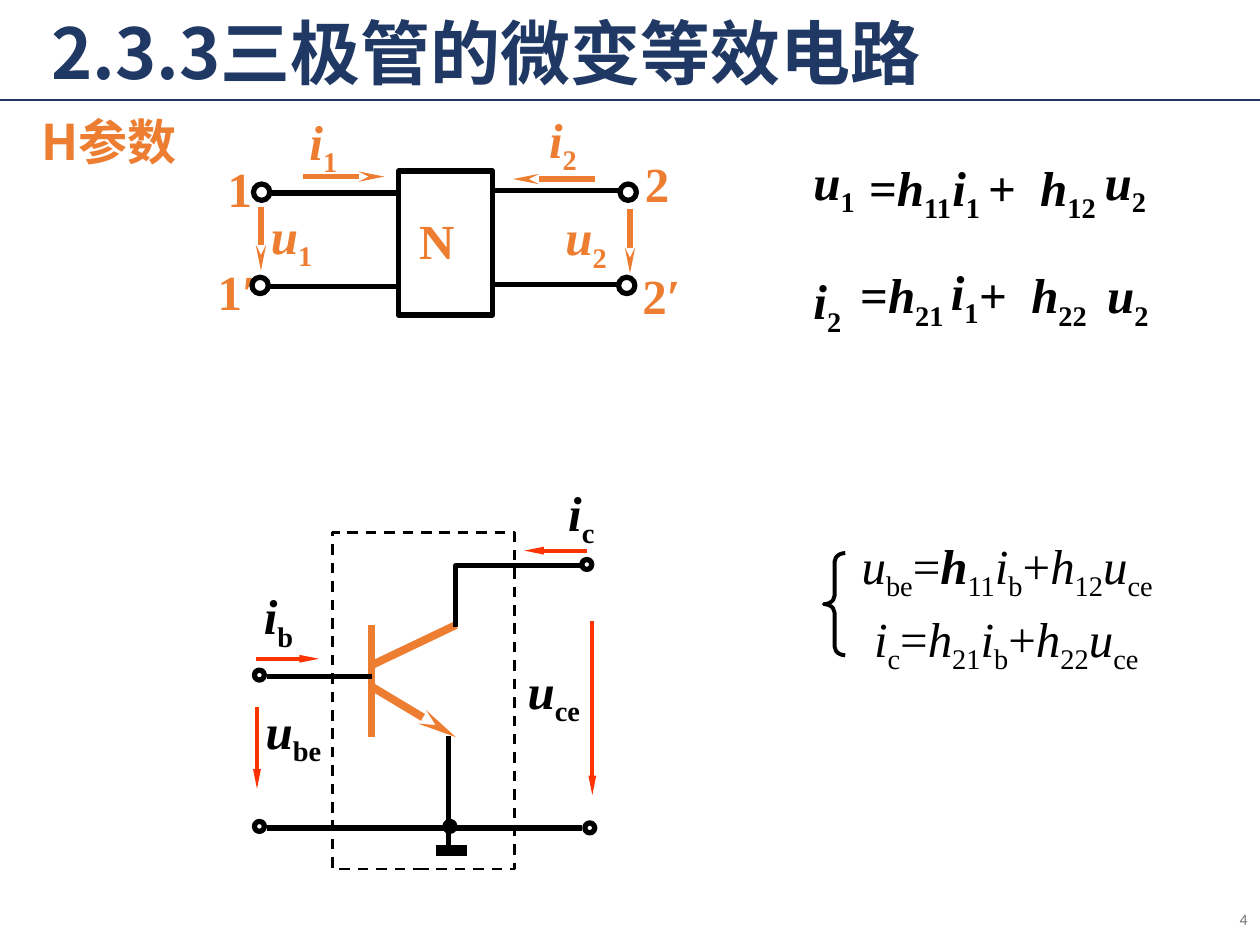
from lxml import etree
from pptx import Presentation
from pptx import util as u
from pptx.dml.color import RGBColor
from pptx.enum import dml, shapes, text
from pptx.oxml import ns

NAVY = RGBColor(0x20, 0x38, 0x64)
ORANGE = RGBColor(0xED, 0x7D, 0x31)
RED = RGBColor(0xFF, 0x33, 0x00)
GREY = RGBColor(0x76, 0x71, 0x71)
BLACK = RGBColor(0, 0, 0)
WHITE = RGBColor(255, 255, 255)
SERIF = "Times New Roman"
CJK = "Noto Sans CJK SC"

deck = Presentation()
deck.slide_width, deck.slide_height = u.Cm(25.4), u.Cm(19.05)
slide = deck.slides.add_slide(deck.slide_layouts[6])
canvas = slide.shapes


def wire(x1, y1, x2, y2, color=BLACK, weight=3, head=None):
    line = canvas.add_connector(
        shapes.MSO_CONNECTOR.STRAIGHT, u.Cm(x1), u.Cm(y1), u.Cm(x2), u.Cm(y2))
    line.line.color.rgb = color
    line.line.width = u.Pt(weight)
    if head:
        etree.SubElement(line.line._get_or_add_ln(), ns.qn("a:tailEnd"),
                         type=head, w="sm", len="lg")
    etree.SubElement(line._element.spPr, ns.qn("a:effectLst"))


def label(left, top, width, parts, color=BLACK, bold=True, centred=False, tabs=()):
    box = canvas.add_textbox(u.Cm(left), u.Cm(top), u.Cm(width), u.Cm(1.45))
    frame = box.text_frame
    frame.word_wrap = not centred
    paragraph = frame.paragraphs[0]
    if centred:
        frame.vertical_anchor = text.MSO_ANCHOR.MIDDLE
        paragraph.alignment = text.PP_ALIGN.CENTER
    else:
        frame.margin_top = u.Cm(0.23)
    if tabs:
        stops = etree.SubElement(paragraph._p.get_or_add_pPr(), ns.qn("a:tabLst"))
        for stop in tabs:
            etree.SubElement(stops, ns.qn("a:tab"), pos=str(u.Cm(stop)), algn="l")
    for part in parts.split("|"):
        run = paragraph.add_run()
        run.text = part.lstrip("_*")
        run.font.name = SERIF
        run.font.size = u.Pt(28)
        run.font.color.rgb = color
        run.font.bold = bold or part.startswith("*")
        run.font.italic = run.text in ("u", "i", "h")
        if part.startswith("_"):
            run._r.get_or_add_rPr().set("baseline", "-25000")


wire(0, 2.01, 25.4, 2.01, NAVY, 1)

for words, left, top, width, height, size, color, font, bold, anchor, align in [
    ("2.3.3三极管的微变等效电路", 0.79, 0.25, 18.42, 1.8, 40, NAVY, CJK, True,
     text.MSO_ANCHOR.TOP, text.PP_ALIGN.LEFT),
    ("H参数", 0.58, 2.26, 10.57, 1.3, 28, ORANGE, CJK, True,
     text.MSO_ANCHOR.MIDDLE, text.PP_ALIGN.LEFT),
    ("4", 19.69, 18.03, 5.71, 1.02, 9, GREY, "Calibri", False,
     text.MSO_ANCHOR.MIDDLE, text.PP_ALIGN.RIGHT),
]:
    frame = canvas.add_textbox(u.Cm(left), u.Cm(top), u.Cm(width), u.Cm(height)).text_frame
    frame.word_wrap = True
    frame.vertical_anchor = anchor
    frame.text = words
    paragraph = frame.paragraphs[0]
    paragraph.alignment = align
    if font == CJK:
        paragraph.line_spacing = 0.9
    run = paragraph.runs[0]
    run.font.name = font
    run.font.size = u.Pt(size)
    run.font.bold = bold
    run.font.color.rgb = color
    etree.SubElement(run._r.get_or_add_rPr(), ns.qn("a:ea"), typeface=font)

for x1, y, x2 in [(8.03, 3.89, 5.38), (8.03, 5.77, 5.38),
                  (12.55, 3.84, 9.91), (12.5, 5.74, 9.88)]:
    wire(x1, y, x2, y)

for ends in [(6.1, 3.56, 7.75, 3.56), (11.99, 3.61, 10.34, 3.61),
             (5.26, 4.17, 5.26, 5.46), (12.7, 4.22, 12.7, 5.51)]:
    wire(*ends, ORANGE, 3, "stealth")

for left, top, width, parts in [
    (8.2, 4.01, 1.63, "N"),
    (4.34, 2.97, 1.19, "1"), (4.14, 5.05, 1.57, "1′"),
    (12.75, 2.87, 1.19, "2"), (12.7, 5.13, 1.57, "2′"),
    (5.99, 2.01, 1.47, "i|_1"), (10.82, 1.98, 1.47, "i|_2"),
    (5.21, 3.91, 1.47, "u|_1"), (11.15, 3.94, 1.47, "u|_2"),
]:
    label(left, top, width, parts, ORANGE)

label(17.27, 2.95, 5.49, "=|h|_11|\t+\t|h|_12", tabs=(2.4, 3.45))
label(17.09, 5.11, 5.49, "=|h|_21|\t+\t|h|_22", tabs=(2.4, 3.45))
for left, top, width, parts in [
    (16.15, 2.82, 1.65, "u|_1"), (18.95, 2.95, 1.47, "i|_1"), (22.02, 2.82, 2.16, "u|_2"),
    (16.15, 5.23, 1.47, "i|_2"), (18.92, 5.05, 1.47, "i|_1"), (22.07, 5.11, 2.16, "u|_2"),
]:
    label(left, top, width, parts)

label(17.12, 10.57, 7.87, "u|_be|=|*h|_11|i|_b|+|h|_12|u|_ce", bold=False)
label(17.37, 12.04, 7.75, "i|_c|=|h|_21|i|_b|+|h|_22|u|_ce", bold=False)

wire(7.49, 12.6, 7.49, 14.86, ORANGE, 4.5)
wire(7.49, 13.84, 9.19, 14.86, ORANGE, 4.5, "stealth")
wire(7.49, 13.41, 9.19, 12.6, ORANGE, 4.5)
wire(7.49, 13.64, 5.38, 13.64)
wire(5.38, 16.69, 11.73, 16.69)
wire(8.79, 17.15, 9.42, 17.15, weight=6)
wire(9.04, 14.83, 9.04, 17.07)

collector_path = canvas.build_freeform(u.Cm(9.19), u.Cm(12.65))
collector_path.add_line_segments(
    [(u.Cm(9.19), u.Cm(11.4)), (u.Cm(11.73), u.Cm(11.4))], close=False)
collector = collector_path.convert_to_shape()
collector.shadow.inherit = False
collector.fill.background()
collector.line.color.rgb = BLACK
collector.line.width = u.Pt(3)

RECT, OVAL = shapes.MSO_SHAPE.RECTANGLE, shapes.MSO_SHAPE.OVAL
BRACE = shapes.MSO_SHAPE.LEFT_BRACE
outlines = [(RECT, 8.03, 3.45, 1.9, 2.9, None, 3),
            (RECT, 6.71, 10.74, 3.66, 6.78, None, 1.5),
            (BRACE, 16.61, 11.15, 0.43, 2.06, None, 2.25),
            (OVAL, 8.97, 16.56, 0.2, 0.2, BLACK, 3)]
outlines += [(OVAL, x, y, 0.33, 0.33, None, 3) for x, y in
             [(5.11, 3.71), (5.08, 5.59), (12.5, 3.71), (12.47, 5.59)]]
outlines += [(OVAL, x, y, 0.2, 0.2, WHITE, 3) for x, y in
             [(5.13, 13.51), (5.13, 16.56), (11.73, 11.28), (11.79, 16.59)]]
for kind, left, top, width, height, fill, weight in outlines:
    part = canvas.add_shape(kind, u.Cm(left), u.Cm(top), u.Cm(width), u.Cm(height))
    part.shadow.inherit = False
    if fill is None:
        part.fill.background()
    else:
        part.fill.solid()
        part.fill.fore_color.rgb = fill
    part.line.color.rgb = BLACK
    part.line.width = u.Pt(weight)
    if weight == 1.5:
        part.line.dash_style = dml.MSO_LINE.DASH
    if kind == BRACE:
        part.adjustments[0] = 0.4

for ends in [(5.18, 14.25, 5.18, 15.9), (11.94, 12.52, 11.94, 16.03),
             (5.16, 13.28, 6.43, 13.28), (11.84, 11.1, 10.57, 11.1)]:
    wire(*ends, RED, 2.25, "triangle")

for left, top, width, parts in [
    (10.74, 9.68, 1.96, "i|_c"), (10.34, 13.26, 1.65, "u|_ce"),
    (5.05, 14.07, 1.73, "u|_be"), (5.03, 11.76, 1.17, "i|_b"),
]:
    label(left, top, width, parts, centred=True)

deck.save("out.pptx")
